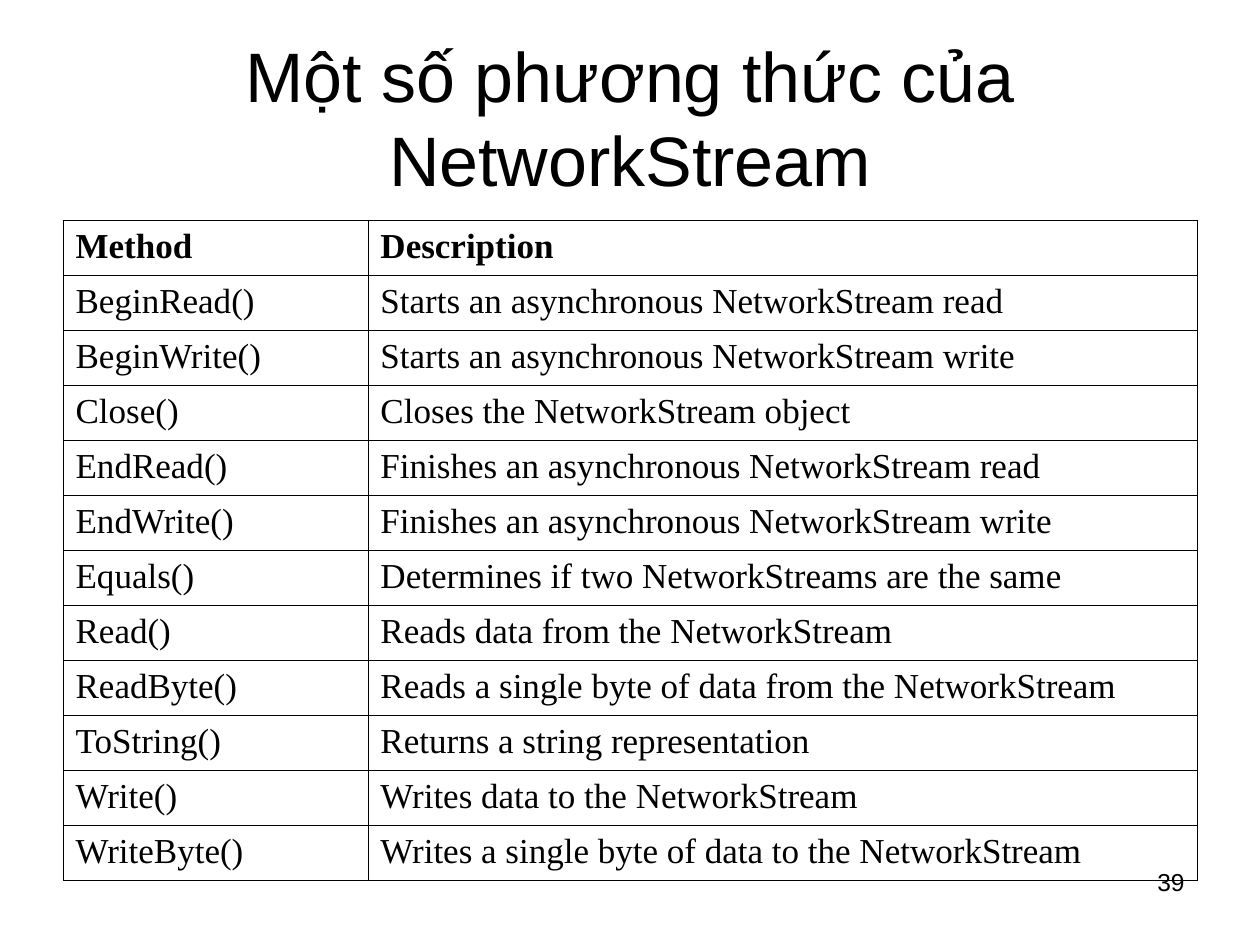
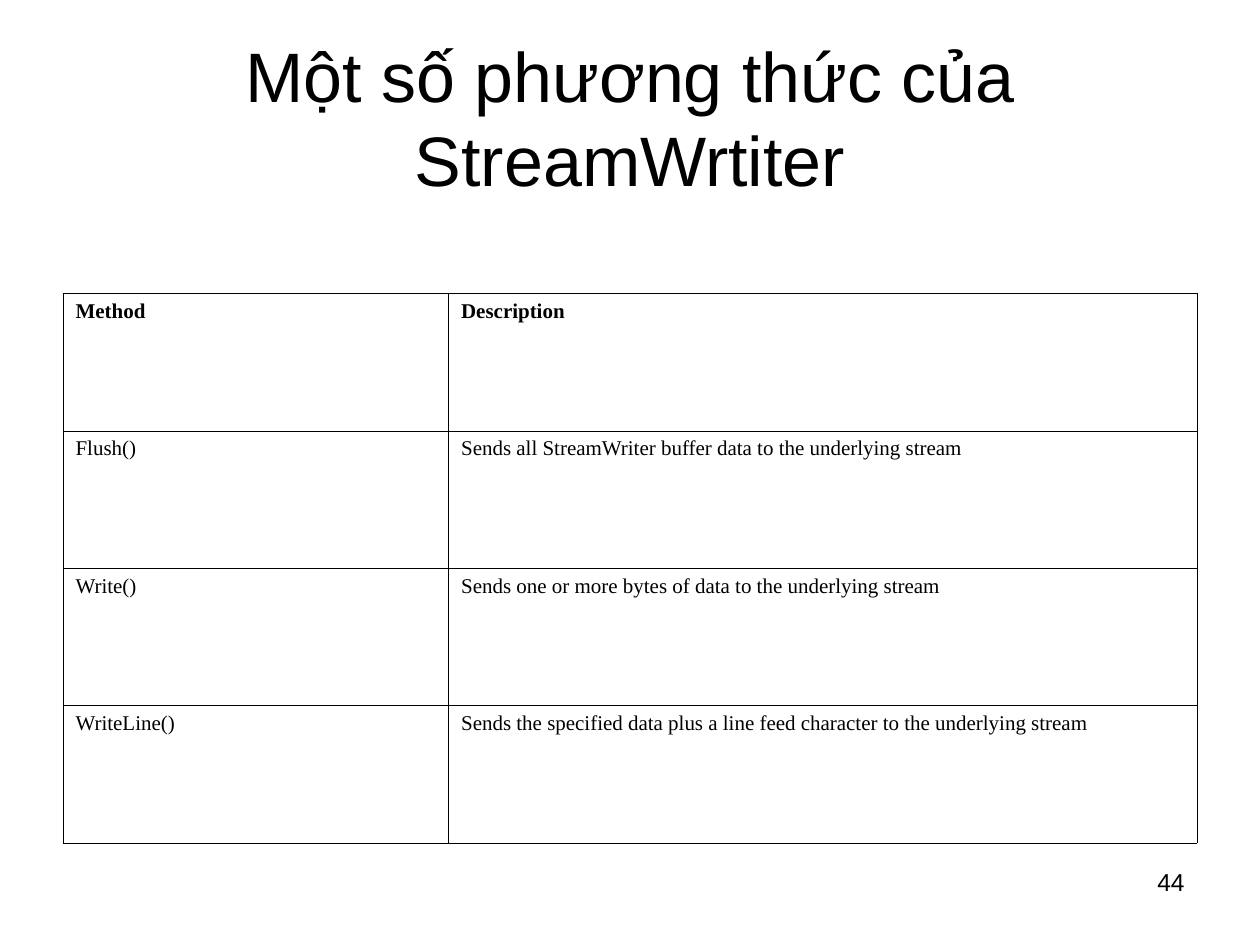
from dataclasses import dataclass

import lxml.etree
import pptx
import pptx.dml.color
import pptx.enum.text
import pptx.oxml.ns
import pptx.util

Inches = pptx.util.Inches
Pt = pptx.util.Pt
Align = pptx.enum.text.PP_ALIGN
Anchor = pptx.enum.text.MSO_ANCHOR
qn = pptx.oxml.ns.qn


@dataclass(frozen=True)
class Theme:
    """Colours, fonts and sizes shared by the slides."""
    ink: str = "000000"
    sans: str = "Arial"
    serif: str = "Times New Roman"
    title: int = 40
    number: int = 14
    rule: float = 0.34
    indent: float = 0.38


THEME = Theme()
TITLE = (0.5, 0.3, 9, 1.25)
NUMBER = (7.17, 6.83, 2.33, 0.52)
HEAD = ("Method", "Description")

NETWORK = [
    ("BeginRead()", "Starts an asynchronous NetworkStream read"),
    ("BeginWrite()", "Starts an asynchronous NetworkStream write"),
    ("Close()", "Closes the NetworkStream object"),
    ("EndRead()", "Finishes an asynchronous NetworkStream read"),
    ("EndWrite()", "Finishes an asynchronous NetworkStream write"),
    ("Equals()", "Determines if two NetworkStreams are the same"),
    ("Read()", "Reads data from the NetworkStream"),
    ("ReadByte()", "Reads a single byte of data from the NetworkStream"),
    ("ToString()", "Returns a string representation"),
    ("Write()", "Writes data to the NetworkStream"),
    ("WriteByte()", "Writes a single byte of data to the NetworkStream"),
]
WRITER = [
    ("Flush()", "Sends all StreamWriter buffer data to the underlying stream"),
    ("Write()", "Sends one or more bytes of data to the underlying stream"),
    ("WriteLine()", "Sends the specified data plus a line feed character "
                    "to the underlying stream"),
]


def write(frame, text, *, size, font, bold=False, align=Align.LEFT, indent=0):
    """Put formatted text into a text frame and return its paragraph."""
    frame.word_wrap = True
    para = frame.paragraphs[0]
    para.alignment = align
    if indent:
        props = para._p.get_or_add_pPr()
        props.set("marL", str(Inches(indent)))
        props.set("indent", str(-Inches(indent)))
    run = para.add_run()
    run.text = text
    run.font.size = Pt(size)
    run.font.name = font
    run.font.bold = bold
    run.font.color.rgb = pptx.dml.color.RGBColor.from_string(THEME.ink)
    return para


def label(slide, box, text, anchor=Anchor.TOP, **style):
    """Place a text box in the given box."""
    frame = slide.shapes.add_textbox(*map(Inches, box)).text_frame
    frame.vertical_anchor = anchor
    write(frame, text, font=THEME.sans, **style)


def border(cell):
    """Draw a thin rule on each side of a cell."""
    props = cell._tc.get_or_add_tcPr()
    for side in ("lnL", "lnR", "lnT", "lnB"):
        line = lxml.etree.SubElement(props, qn(f"a:{side}"), w=str(Pt(THEME.rule)))
        fill = lxml.etree.SubElement(line, qn("a:solidFill"))
        lxml.etree.SubElement(fill, qn("a:srgbClr"), val=THEME.ink)


def grid(slide, box, rows, first, size):
    """Place a two-column table with equal rows in the given box."""
    rows = [HEAD, *rows]
    table = slide.shapes.add_table(len(rows), 2, *map(Inches, box)).table
    table.first_row = table.horz_banding = False
    for column, width in zip(table.columns, (first, box[2] - first)):
        column.width = Inches(width)
    for r, row in enumerate(rows):
        table.rows[r].height = Inches(box[3] / len(rows))
        for c, text in enumerate(row):
            cell = table.cell(r, c)
            border(cell)
            cell.fill.background()
            write(cell.text_frame, text, size=size, font=THEME.serif,
                  bold=r == 0, indent=THEME.indent)


def page(deck, title, number, **table):
    """Add a slide with a title, a method table and a page number."""
    slide = deck.slides.add_slide(deck.slide_layouts[6])
    label(slide, TITLE, title, anchor=Anchor.MIDDLE, size=THEME.title,
          align=Align.CENTER)
    grid(slide, **table)
    label(slide, NUMBER, number, size=THEME.number, align=Align.RIGHT)


def main():
    """Build and save the deck."""
    deck = pptx.Presentation()
    deck.slide_width, deck.slide_height = Inches(10), Inches(7.5)
    page(deck, "Một số phương thức của NetworkStream", "39",
         box=(0.5, 1.75, 9, 5.24), rows=NETWORK, first=2.42, size=20)
    page(deck, "Một số phương thức của StreamWrtiter", "44",
         box=(0.5, 2.33, 9, 4.36), rows=WRITER, first=3.06, size=12)
    deck.save("out.pptx")


if __name__ == "__main__":
    main()
